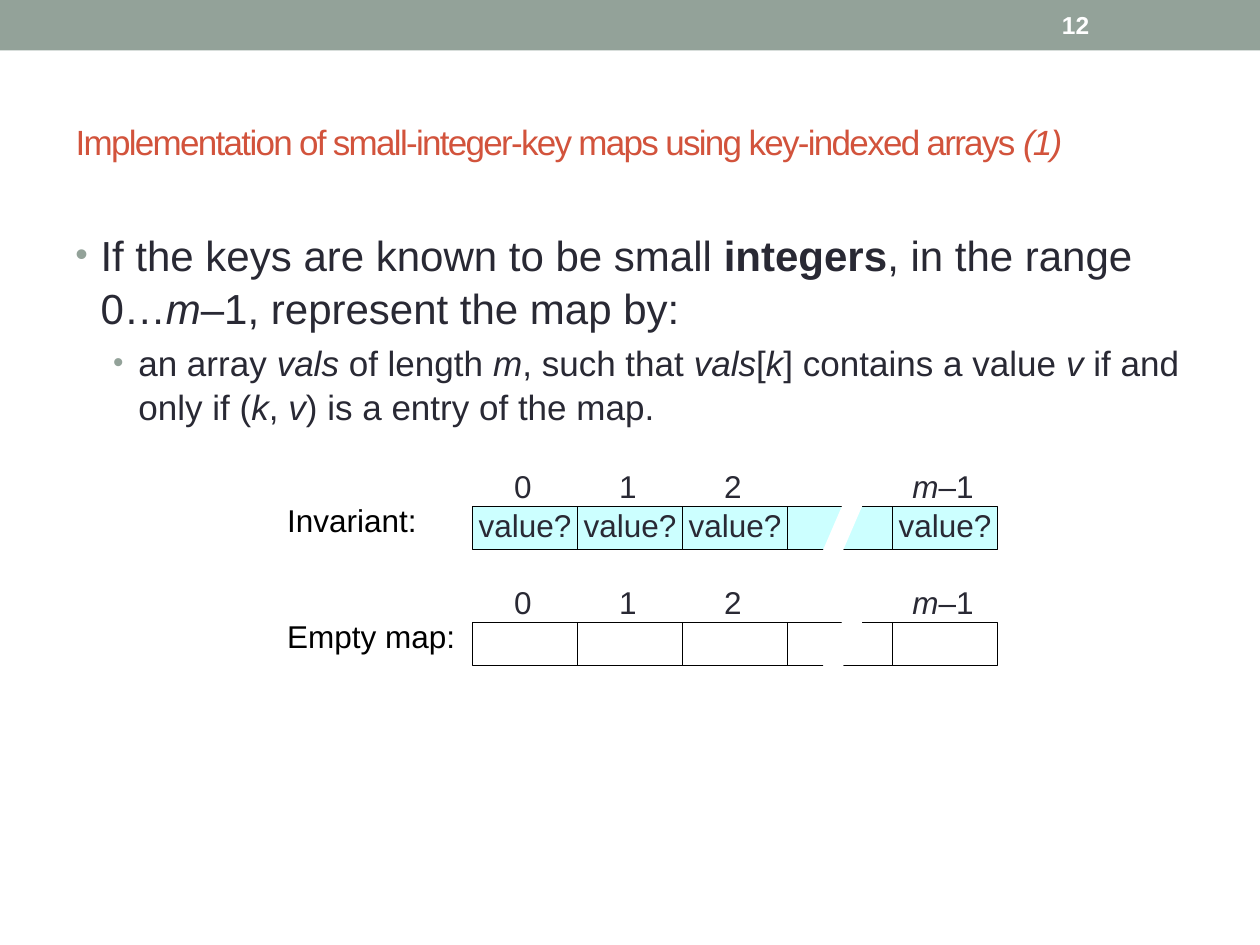
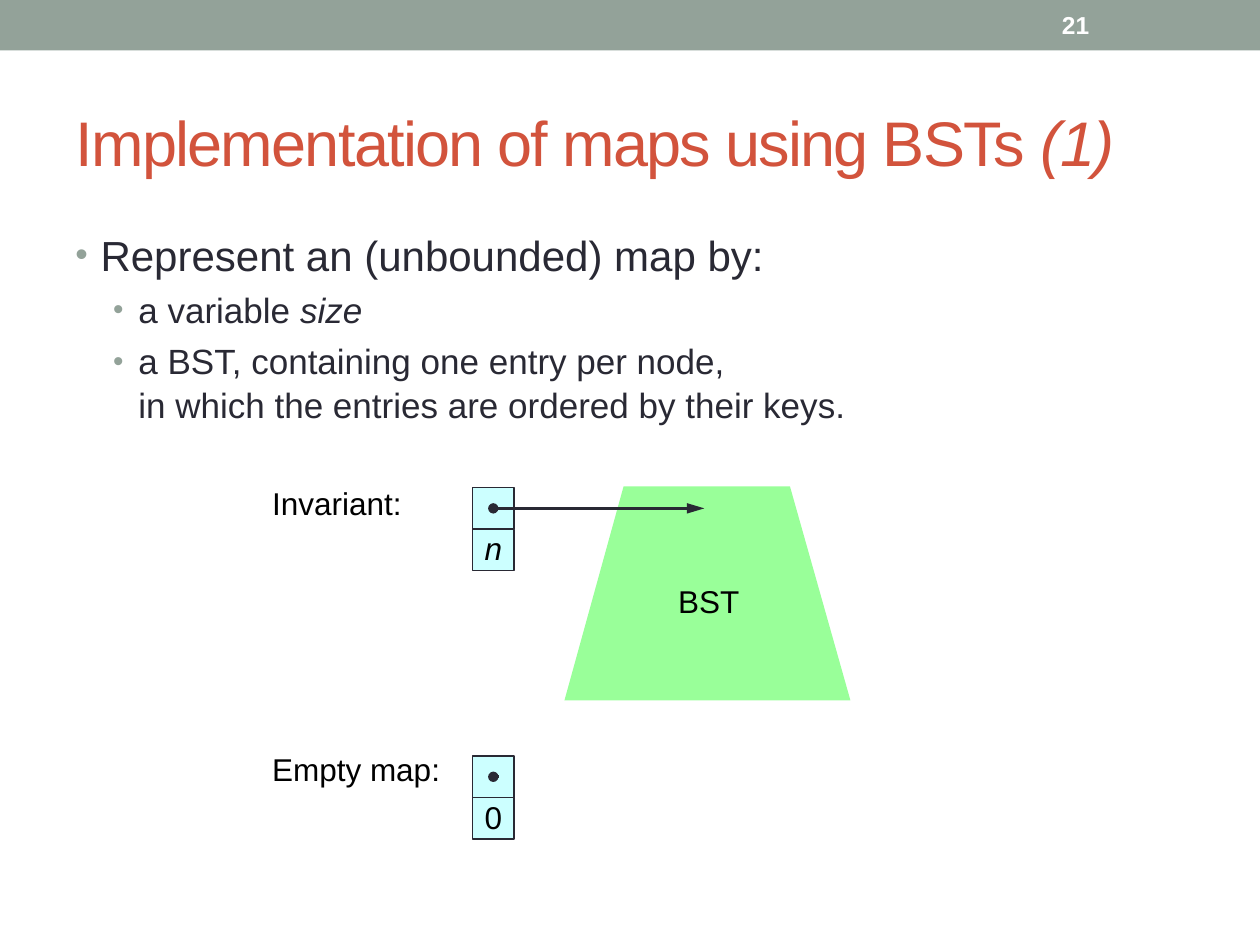
"""Builds two slides on map implementations: key-indexed arrays and BSTs."""
from typing import NamedTuple, Optional

from lxml.etree import SubElement
from pptx import Presentation
from pptx.dml.color import RGBColor
from pptx.enum.shapes import MSO_CONNECTOR, MSO_SHAPE
from pptx.enum.text import MSO_ANCHOR, MSO_AUTO_SIZE, PP_ALIGN
from pptx.oxml.ns import qn
from pptx.util import Inches, Pt

FONT = "Arial"
SAGE, RUST, INK = "93A299", "D2533C", "292934"
BLACK, WHITE, CYAN, GREEN = "000000", "FFFFFF", "CCFFFF", "99FF99"
CELL_WIDTH, CELL_HEIGHT = 2.5 / 3, 0.34
ARRAY_LEFT, NODE_SIDE = 3.75, 0.33


class Words(NamedTuple):
    text: str
    italic: bool = False
    bold: bool = False


class Bullet(NamedTuple):
    level: int
    words: list[Words]


class Box(NamedTuple):
    left: float
    top: float
    width: float
    height: float

    def lengths(self) -> tuple:
        return tuple(Inches(value) for value in self)


class ArrayRow(NamedTuple):
    label: str
    top: float
    fill: str
    content: str


class NodeRow(NamedTuple):
    label: str
    label_top: float
    top: float
    size: list[Words]
    pointer_end: float
    arrowhead: Optional[str]


def italic(text: str) -> Words:
    return Words(text, italic=True)


INDEXES = {0: [Words("0")], 1: [Words("1")], 2: [Words("2")], 4: [italic("m"), Words("–1")]}
BREAK_CELL = 3
ARRAY_ROWS = [
    ArrayRow("Invariant:", 4.02, CYAN, "value?"),
    ArrayRow("Empty map:", 4.94, WHITE, ""),
]
NODE_ROWS = [
    NodeRow("Invariant:", 3.89, 3.87, [italic("n")], 5.59, "triangle"),
    NodeRow("Empty map:", 6, 6, [Words("0")], 3.96, None),
]
ARRAY_BULLETS = [
    Bullet(0, [Words("If the keys are known to be small "), Words("integers", bold=True),
               Words(", in the range 0…"), italic("m"), Words("–1, represent the map by:")]),
    Bullet(1, [Words("an array "), italic("vals"), Words(" of length "), italic("m"),
               Words(", such that "), italic("vals"), Words("["), italic("k"),
               Words("] contains a value "), italic("v"), Words(" if and only if ("),
               italic("k"), Words(", "), italic("v"), Words(") is a entry of the map.")]),
]
BST_BULLETS = [
    Bullet(0, [Words("Represent an (unbounded) map by:")]),
    Bullet(1, [Words("a variable "), italic("size")]),
    Bullet(1, [Words("a BST, containing one entry per node,\n"
                     "in which the entries are ordered by their keys.")]),
]


def color(value: str) -> RGBColor:
    return RGBColor.from_string(value)


def write(paragraph, words: list[Words], size: float, ink: str, spacing: int = 0) -> None:
    for part in words:
        for number, line in enumerate(part.text.split("\n")):
            if number:
                paragraph.add_line_break()
            run = paragraph.add_run()
            run.text = line
            font = run.font
            font.name, font.size = FONT, Pt(size)
            font.italic, font.bold = part.italic, part.bold
            font.color.rgb = color(ink)
            if spacing:
                font._rPr.set("spc", str(spacing))


def set_frame(frame, inset: bool = False, anchor=MSO_ANCHOR.TOP) -> None:
    frame.word_wrap = True
    frame.auto_size = MSO_AUTO_SIZE.NONE
    frame.vertical_anchor = anchor
    frame.margin_left = frame.margin_right = Inches(0.1 if inset else 0)
    frame.margin_top = frame.margin_bottom = Inches(0.05 if inset else 0)


def add_label(slide, box: Box, words: list[Words], ink: str = BLACK,
              align=PP_ALIGN.LEFT) -> None:
    frame = slide.shapes.add_textbox(*box.lengths()).text_frame
    set_frame(frame)
    paragraph = frame.paragraphs[0]
    paragraph.alignment = align
    paragraph.line_spacing = Pt(18)
    write(paragraph, words, 18, ink)


def paint(shape, fill: str, outline: Optional[str] = None) -> None:
    shape.shadow.inherit = False
    shape.fill.solid()
    shape.fill.fore_color.rgb = color(fill)
    if outline:
        shape.line.color.rgb = color(outline)
        shape.line.width = Pt(0.75)
    else:
        shape.line.fill.background()


def add_rectangle(slide, box: Box, fill: str, outline: Optional[str] = None,
                  words: Optional[list[Words]] = None, ink: str = BLACK) -> None:
    rectangle = slide.shapes.add_shape(MSO_SHAPE.RECTANGLE, *box.lengths())
    paint(rectangle, fill, outline)
    if words:
        set_frame(rectangle.text_frame)
        paragraph = rectangle.text_frame.paragraphs[0]
        paragraph.alignment = PP_ALIGN.CENTER
        write(paragraph, words, 18, ink)


def add_outline(slide, points: list[tuple[float, float]], fill: str) -> None:
    corners = [(Inches(x), Inches(y)) for x, y in points]
    builder = slide.shapes.build_freeform(*corners[0])
    builder.add_line_segments(corners[1:], close=True)
    paint(builder.convert_to_shape(), fill)


def add_pointer(slide, left: float, right: float, y: float, arrowhead: Optional[str]) -> None:
    pointer = slide.shapes.add_connector(
        MSO_CONNECTOR.STRAIGHT, Inches(left), Inches(y), Inches(right), Inches(y))
    pointer.line.color.rgb = color(INK)
    pointer.line.width = Pt(1.5)
    line = pointer.line._get_or_add_ln()
    SubElement(line, qn("a:headEnd"), type="oval")
    if arrowhead:
        SubElement(line, qn("a:tailEnd"), type=arrowhead, w="med", len="lg")
    SubElement(pointer._element.spPr, qn("a:effectLst"))


def add_bullets(slide, bullets: list[Bullet]) -> None:
    frame = slide.shapes.add_textbox(*Box(0.5, 1.75, 9, 5.33).lengths()).text_frame
    set_frame(frame, inset=True)
    for number, bullet in enumerate(bullets):
        paragraph = frame.add_paragraph() if number else frame.paragraphs[0]
        paragraph.level = bullet.level
        properties = paragraph._p.get_or_add_pPr()
        properties.set("marL", str(Inches((0.2, 0.5)[bullet.level])))
        properties.set("indent", str(Inches(-0.2)))
        bullet_color = SubElement(properties, qn("a:buClr"))
        SubElement(bullet_color, qn("a:srgbClr"), val=SAGE)
        SubElement(properties, qn("a:buSzPct"), val="85000")
        SubElement(properties, qn("a:buFont"), typeface=FONT)
        SubElement(properties, qn("a:buChar"), char="•")
        paragraph.line_spacing = 1.05
        if number:
            paragraph.space_before = Pt(4)
        write(paragraph, bullet.words, (24, 20)[bullet.level], INK)


def start_slide(deck, heading: str, size: float, page: str, bullets: list[Bullet]):
    slide = deck.slides.add_slide(deck.slide_layouts[5])
    add_rectangle(slide, Box(0, 0, 10, 0.4), SAGE)
    title = slide.shapes.title
    title.left, title.top, title.width, title.height = Box(0.5, 0.58, 9, 1.08).lengths()
    set_frame(title.text_frame, inset=True, anchor=MSO_ANCHOR.MIDDLE)
    paragraph = title.text_frame.paragraphs[0]
    paragraph.alignment = PP_ALIGN.LEFT
    write(paragraph, [Words(heading), italic("(1)")], size, RUST, spacing=-100)
    add_bullets(slide, bullets)
    page_frame = slide.shapes.add_textbox(*Box(8.33, 0.02, 1.17, 0.36).lengths()).text_frame
    set_frame(page_frame, inset=True, anchor=MSO_ANCHOR.MIDDLE)
    write(page_frame.paragraphs[0], [Words(page, bold=True)], 14, WHITE)
    return slide


def add_array(slide, row: ArrayRow) -> None:
    add_label(slide, Box(2.28, row.top + 0.01, 1.34, 0.25), [Words(row.label)])
    for cell in range(5):
        left = ARRAY_LEFT + cell * CELL_WIDTH
        has_content = row.content and cell != BREAK_CELL
        add_rectangle(slide, Box(left, row.top, CELL_WIDTH, CELL_HEIGHT), row.fill, BLACK,
                      [Words(row.content)] if has_content else None, INK)
        if cell in INDEXES:
            add_label(slide, Box(left, row.top - 0.26, 0.8, 0.22), INDEXES[cell], INK,
                      PP_ALIGN.CENTER)
    top, bottom = row.top - 0.16, row.top + 0.42
    add_outline(slide, [(6.75, top), (6.5, bottom), (6.66, bottom), (6.91, top)], WHITE)


def add_node(slide, row: NodeRow) -> None:
    add_label(slide, Box(2.16, row.label_top, 1.46, 0.25), [Words(row.label)])
    for number, words in enumerate([None, row.size]):
        top = row.top + number * NODE_SIDE
        add_rectangle(slide, Box(ARRAY_LEFT, top, NODE_SIDE, NODE_SIDE), CYAN, INK, words)
    add_pointer(slide, ARRAY_LEFT + NODE_SIDE / 2, row.pointer_end,
                row.top + NODE_SIDE / 2, row.arrowhead)


def main() -> None:
    deck = Presentation()
    deck.slide_width, deck.slide_height = Inches(10), Inches(7.5)

    array_slide = start_slide(
        deck, "Implementation of small-integer-key maps using key-indexed arrays ",
        20, "12", ARRAY_BULLETS)
    for row in ARRAY_ROWS:
        add_array(array_slide, row)

    bst_slide = start_slide(
        deck, "Implementation of maps using BSTs ", 36, "21", BST_BULLETS)
    add_outline(bst_slide, [(4.95, 3.86), (6.27, 3.86), (6.75, 5.56), (4.48, 5.56)], GREEN)
    add_label(bst_slide, Box(5.33, 4.67, 0.59, 0.25), [Words("BST")], align=PP_ALIGN.CENTER)
    for row in NODE_ROWS:
        add_node(bst_slide, row)

    deck.save("out.pptx")


if __name__ == "__main__":
    main()
